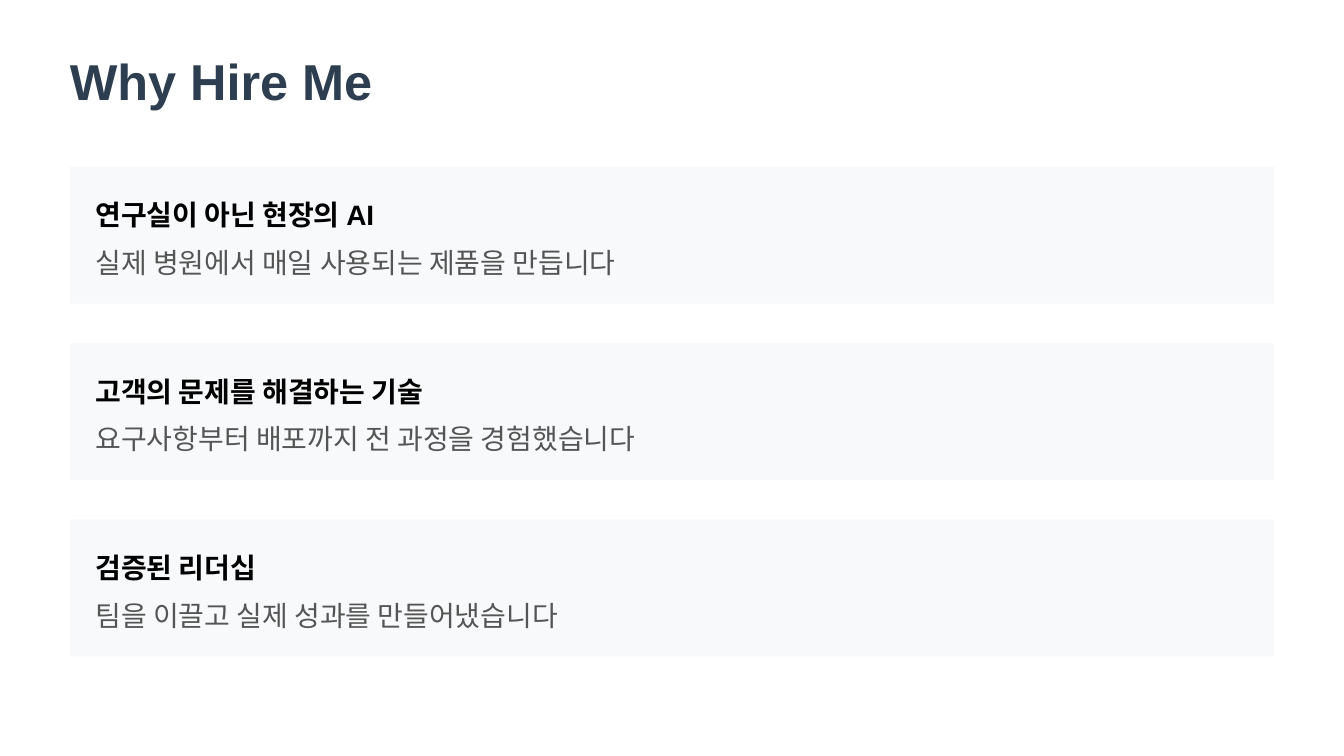
from typing import NamedTuple

from pptx import Presentation
from pptx.dml.color import RGBColor
from pptx.enum.shapes import MSO_SHAPE
from pptx.enum.text import MSO_ANCHOR, MSO_AUTO_SIZE, PP_ALIGN
from pptx.util import Inches, Pt


class Reason(NamedTuple):
    heading: str
    detail: str


class TextStyle(NamedTuple):
    size: float
    color: str
    bold: bool
    line: float
    after: float


REASONS = [
    Reason("연구실이 아닌 현장의 AI", "실제 병원에서 매일 사용되는 제품을 만듭니다"),
    Reason("고객의 문제를 해결하는 기술", "요구사항부터 배포까지 전 과정을 경험했습니다"),
    Reason("검증된 리더십", "팀을 이끌고 실제 성과를 만들어냈습니다"),
]

TITLE = TextStyle(27, "2C3E50", True, 30, 18)
HEADING = TextStyle(15, "000000", True, 21, 4.5)
DETAIL = TextStyle(15, "555555", False, 21, 0)

POINTS_PER_INCH = 72
LEFT = 0.52
CARD_TOP = 1.24
CARD_STEP = 94.5 / POINTS_PER_INCH
CARD_WIDTH, CARD_HEIGHT = 8.96, 1.02
PADDING = 0.19
LINE_STEP = (HEADING.line + HEADING.after) / POINTS_PER_INCH


def color(value: str) -> RGBColor:
    return RGBColor.from_string(value)


def set_all(target, values: dict) -> None:
    for name, value in values.items():
        setattr(target, name, value)


def write(box, text: str, style: TextStyle) -> None:
    """Fill a text box or placeholder with one styled paragraph."""
    frame = box.text_frame
    set_all(frame, {
        "margin_left": 0, "margin_top": 0, "margin_right": 0, "margin_bottom": 0,
        "word_wrap": True, "auto_size": MSO_AUTO_SIZE.NONE,
        "vertical_anchor": MSO_ANCHOR.TOP,
    })
    para = frame.paragraphs[0]
    set_all(para, {
        "alignment": PP_ALIGN.LEFT, "line_spacing": Pt(style.line),
        "space_before": Pt(0), "space_after": Pt(style.after),
    })
    span = para.add_run()
    span.text = text
    set_all(span.font, {"name": "Arial", "size": Pt(style.size), "bold": style.bold})
    span.font.color.rgb = color(style.color)


def add_line(page, top: float, text: str, style: TextStyle) -> None:
    box = page.shapes.add_textbox(
        Inches(LEFT + PADDING), Inches(top), Inches(8.76), Inches(0.29))
    write(box, text, style)


def add_card(page, top: float, reason: Reason) -> None:
    card = page.shapes.add_shape(
        MSO_SHAPE.RECTANGLE, Inches(LEFT), Inches(top),
        Inches(CARD_WIDTH), Inches(CARD_HEIGHT))
    card.shadow.inherit = False
    card.fill.solid()
    card.fill.fore_color.rgb = color("F8F9FA")
    card.line.fill.background()
    add_line(page, top + PADDING, reason.heading, HEADING)
    add_line(page, top + PADDING + LINE_STEP, reason.detail, DETAIL)


def main() -> None:
    deck = Presentation()
    # Widescreen page, 16:9
    set_all(deck, {"slide_width": Inches(10), "slide_height": Inches(10 * 9 / 16)})
    page = deck.slides.add_slide(deck.slide_layouts[5])
    page.background.fill.solid()
    page.background.fill.fore_color.rgb = color("FFFFFF")

    # Title
    title = page.shapes.title
    set_all(title, {
        "left": Inches(LEFT), "top": Inches(0.41),
        "width": Inches(4.58), "height": Inches(0.42),
    })
    write(title, "Why Hire Me", TITLE)

    # Reason cards
    for index, reason in enumerate(REASONS):
        add_card(page, CARD_TOP + index * CARD_STEP, reason)

    deck.save("out.pptx")


if __name__ == "__main__":
    main()
